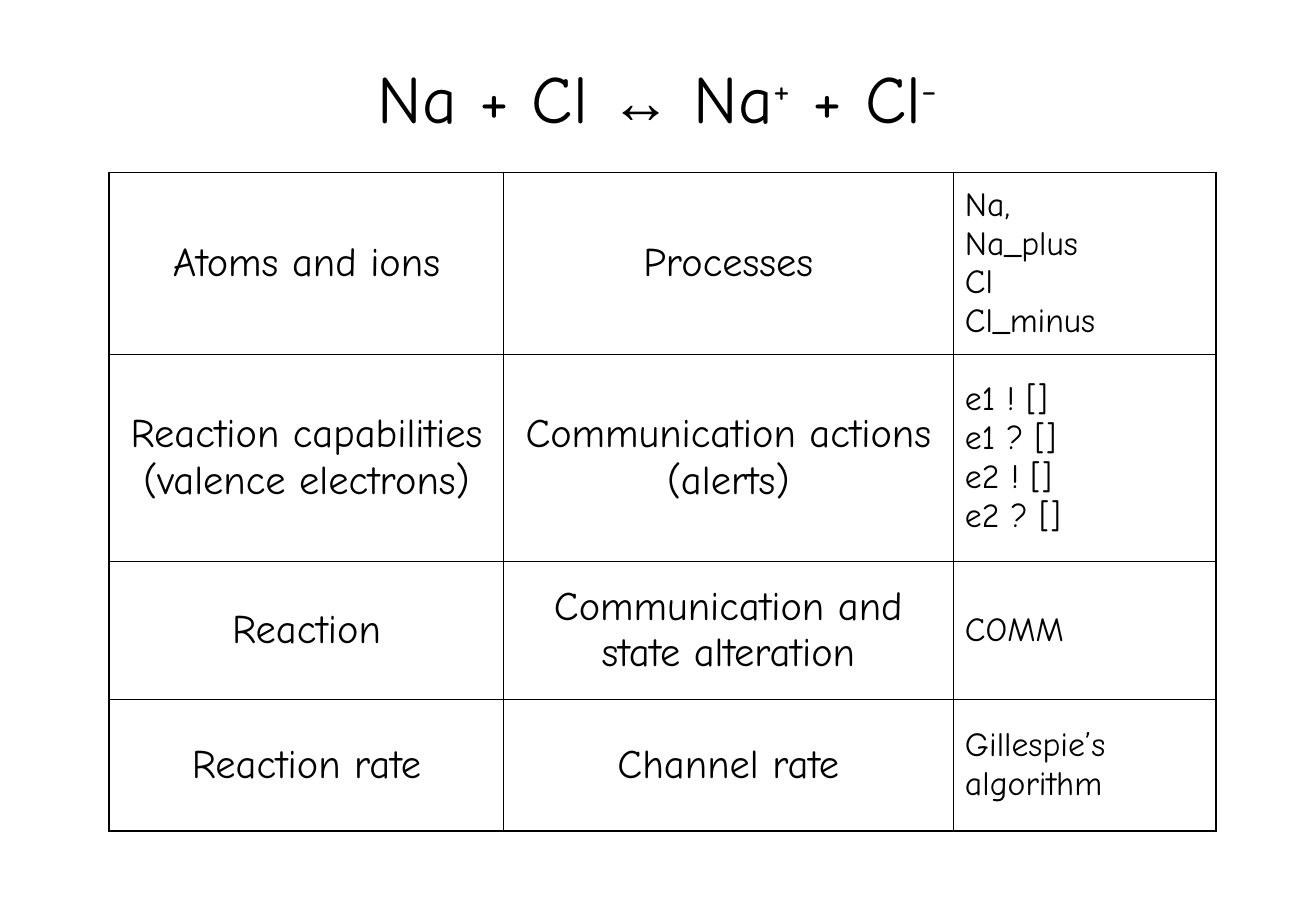
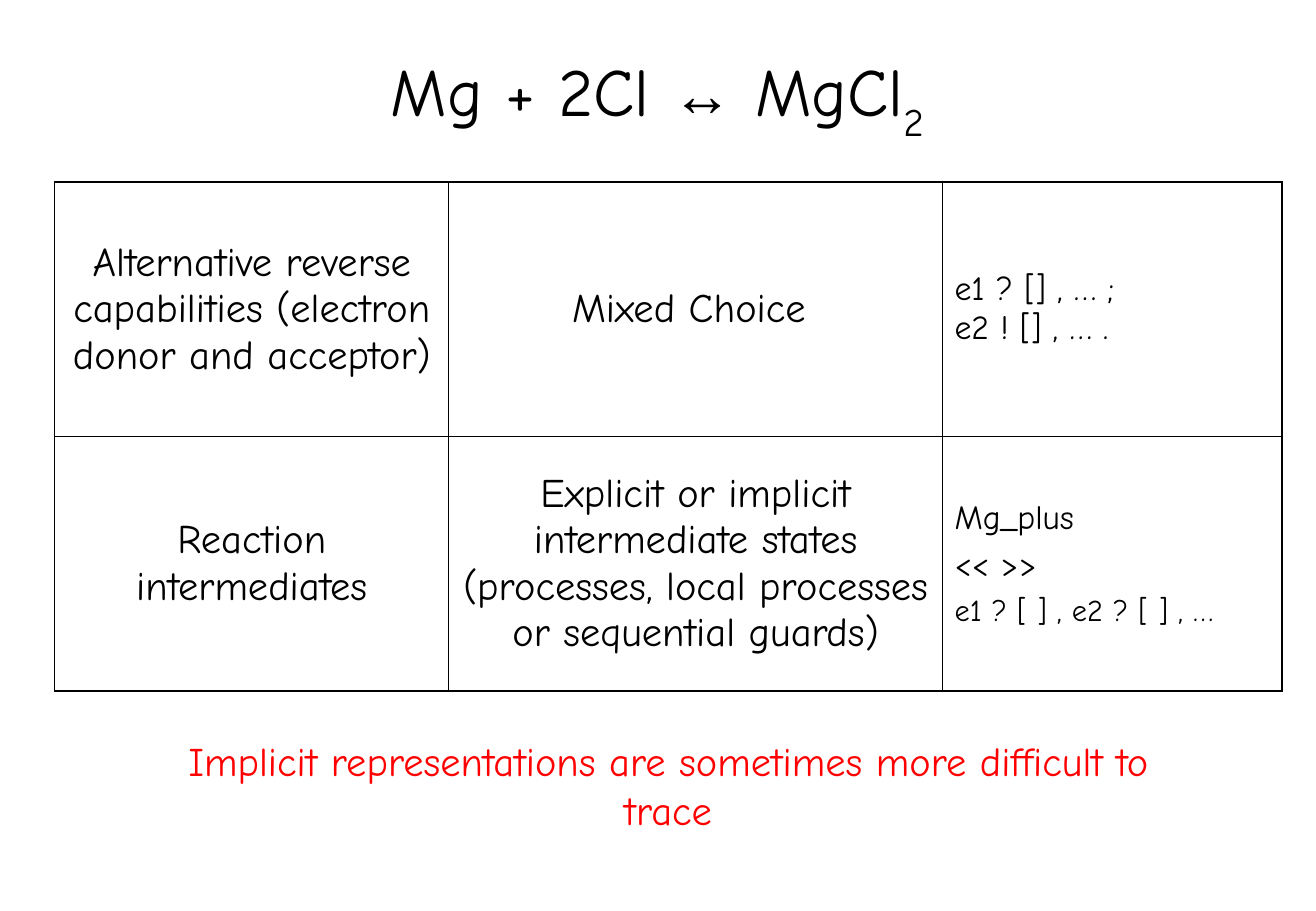
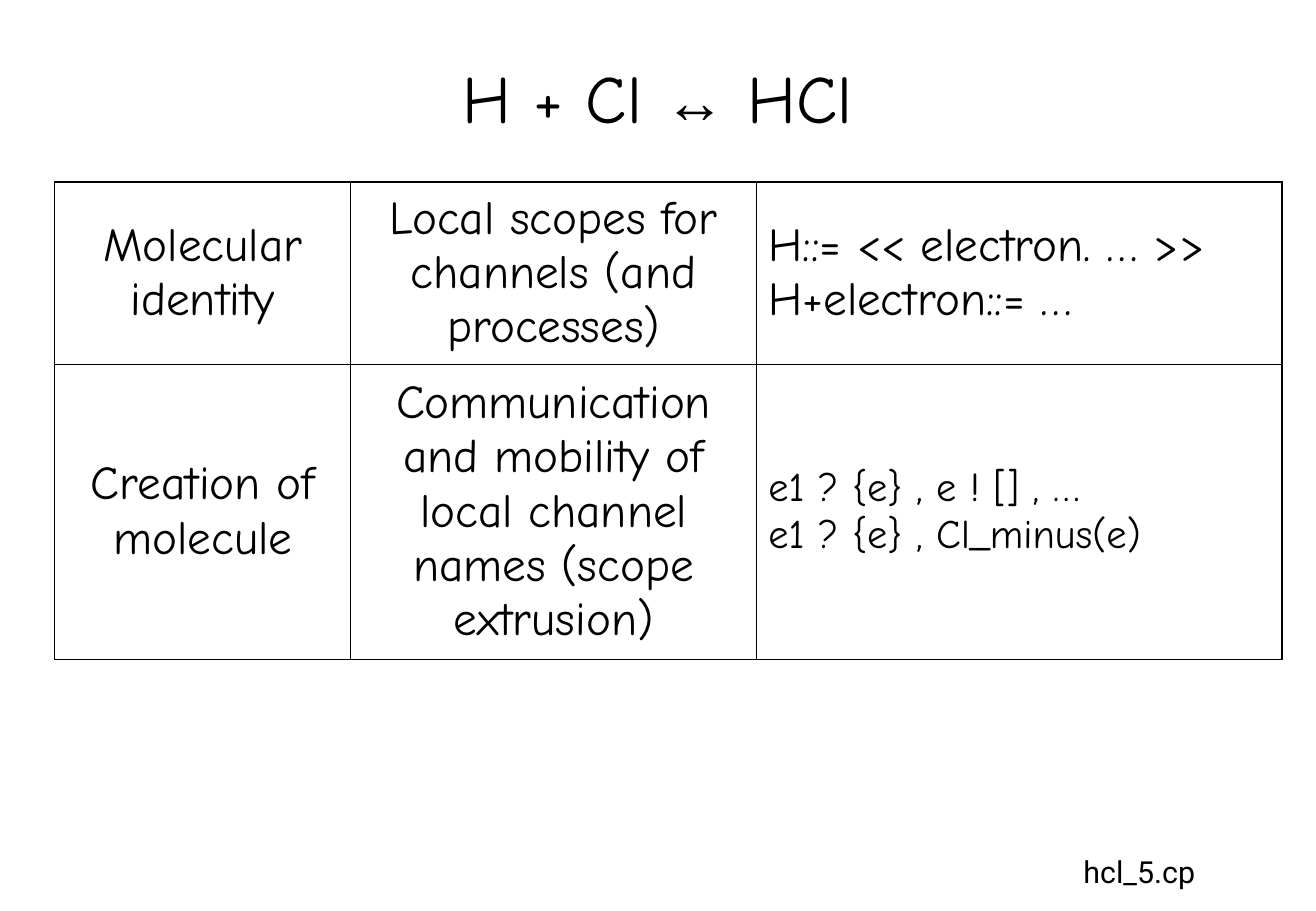
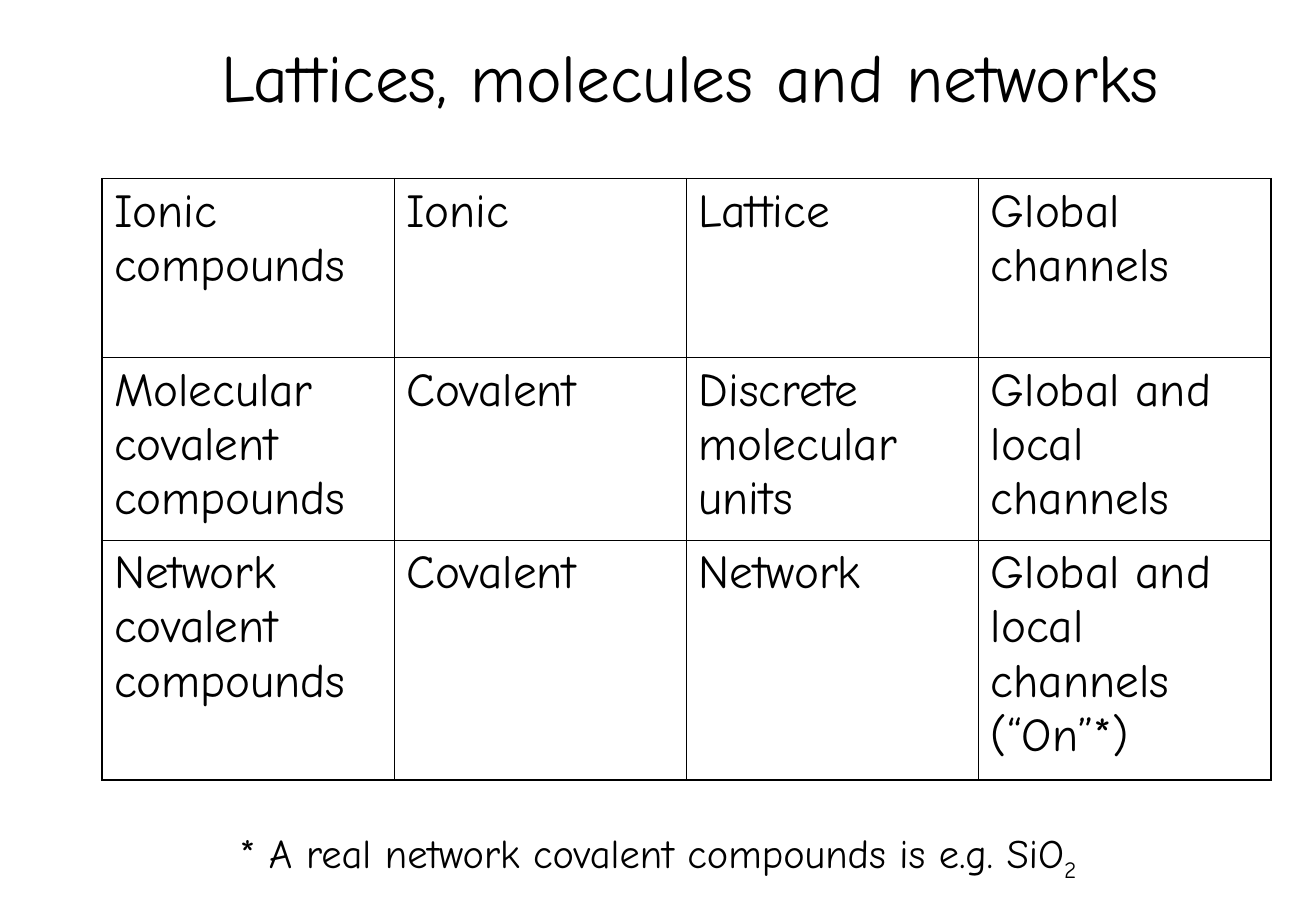
from lxml import etree
from pptx import Presentation
from pptx import util as u
from pptx.dml.color import RGBColor
from pptx.enum import text
from pptx.oxml import ns

# Shared look
SLIDE_W, SLIDE_H = u.Inches(10.84), u.Inches(7.5)
COLOURS = {"ink": "000000", "warning": "FF0000"}
BODY_FONT, ARROW_FONT, FILE_FONT = "Comic Neue", "Arial", "Roboto"
OUTER_PT, INNER_PT = 1.08, 0.45
TITLE_PT = 40
CENTRE, LEFT = text.PP_ALIGN.CENTER, text.PP_ALIGN.LEFT
MIDDLE, TOP = text.MSO_ANCHOR.MIDDLE, text.MSO_ANCHOR.TOP

# Boxes: left, top, width, height in percent of the slide
EQUATION_BOX = (7.47, 2.27, 84.96, 16.67)
HEADLINE_BOX = (7.47, 0, 89.94, 16.67)

# Run formats
ARROW = ("↔", {"size": 36, "name": ARROW_FONT})
RAISED, LOWERED, SLIGHTLY_LOWERED = ({"baseline": b} for b in (30, -30, -25))


def place(box):
    """Turn percentages of the slide into lengths."""
    return [round(share * side / 100)
            for share, side in zip(box, (SLIDE_W, SLIDE_H, SLIDE_W, SLIDE_H))]


def add_run(paragraph, words, size, name=BODY_FONT, colour="ink", baseline=0):
    run = paragraph.add_run()
    run.text = words
    for attribute, value in {"size": u.Pt(size), "name": name, "bold": False}.items():
        setattr(run.font, attribute, value)
    run.font.color.rgb = RGBColor.from_string(COLOURS[colour])
    if baseline:
        run.font._element.set("baseline", str(baseline * 1000))


def write(frame, paragraphs, size, align=CENTRE, **look):
    """Each paragraph is a string or a list of strings and (words, format) pairs."""
    for index, runs in enumerate(paragraphs):
        paragraph = frame.add_paragraph() if index else frame.paragraphs[0]
        paragraph.alignment = align
        paragraph.space_before = u.Pt(size / 4 if index else 0)
        for run in [runs] if isinstance(runs, str) else runs:
            words, extra = (run, {}) if isinstance(run, str) else run
            for number, line in enumerate(words.split("\n")):
                if number:
                    paragraph.add_line_break()
                add_run(paragraph, line, **{"size": size, **look, **extra})


def add_titled_slide(deck, title_runs, box=EQUATION_BOX):
    slide = deck.slides.add_slide(deck.slide_layouts[5])
    title = slide.shapes.title
    title.left, title.top, title.width, title.height = place(box)
    frame = title.text_frame
    for attribute, value in {"vertical_anchor": MIDDLE, "word_wrap": True,
                             "auto_size": text.MSO_AUTO_SIZE.NONE}.items():
        setattr(frame, attribute, value)
    write(frame, [title_runs], TITLE_PT)
    return slide


def add_note(slide, box, runs, size, **look):
    frame = slide.shapes.add_textbox(*place(box)).text_frame
    frame.word_wrap = False
    frame.vertical_anchor = MIDDLE
    write(frame, [runs], size, **look)


def set_borders(cell, outer_sides):
    properties = cell._tc.get_or_add_tcPr()
    for side in "LRTB":
        width = u.Pt(OUTER_PT if side in outer_sides else INNER_PT)
        line = etree.SubElement(properties, ns.qn(f"a:ln{side}"), w=str(width))
        fill = etree.SubElement(line, ns.qn("a:solidFill"))
        etree.SubElement(fill, ns.qn("a:srgbClr"), val=COLOURS["ink"])


def add_grid(slide, box, columns, rows, contents, size, last_sizes=None, all_left=False):
    """Ruled table; the last column is left-aligned and may have its own sizes."""
    left, top, width, height = place(box)
    table = slide.shapes.add_table(len(rows), len(columns), left, top, width, height).table
    table.first_row = table.horz_banding = False
    for column, share in zip(table.columns, columns):
        column.width = round(width * share / sum(columns))
    for row, share in zip(table.rows, rows):
        row.height = round(height * share / sum(rows))

    last_row, last_column = len(rows) - 1, len(columns) - 1
    for r, row in enumerate(contents):
        for c, content in enumerate(row):
            cell = table.cell(r, c)
            edges = {"L": c == 0, "R": c == last_column, "T": r == 0, "B": r == last_row}
            set_borders(cell, [side for side, is_outer in edges.items() if is_outer])
            cell.fill.background()
            cell.vertical_anchor = TOP if all_left else MIDDLE
            is_last = c == last_column
            write(cell.text_frame, [content] if isinstance(content, str) else content,
                  last_sizes[r] if last_sizes and is_last else size,
                  LEFT if all_left or is_last else CENTRE)


def sodium_chloride(deck):
    slide = add_titled_slide(deck, ["Na + Cl ", ARROW, " Na", ("+", RAISED),
                                    " + Cl", ("-", RAISED)])
    add_grid(slide, (8.3, 18.93, 84.13, 72.27), (3.25, 3.7, 2.17), (1.5, 1.7, 1.14, 1.08), [
        ("Atoms and ions", "Processes", "Na,\nNa_plus\nCl\nCl_minus"),
        ("Reaction capabilities (valence electrons)", "Communication actions (alerts)",
         "e1 ! []\ne1 ? []\ne2 ! []\ne2 ? []"),
        ("Reaction", "Communication and state alteration", "COMM"),
        ("Reaction rate", "Channel rate", "Gillespie’s algorithm"),
    ], 24, last_sizes=[20] * 4)


def magnesium_chloride(deck):
    slide = add_titled_slide(deck, ["Mg + 2Cl ", ARROW, " MgCl", ("2", LOWERED)])
    add_grid(slide, (4.15, 20, 93.27, 55.87), (3.25, 4.07, 2.8), (1, 1), [
        ("Alternative reverse capabilities (electron donor and acceptor)", "Mixed Choice ",
         "e1 ? [] , … ;\ne2 ! [] , … ."),
        ("Reaction intermediates",
         "Explicit or implicit intermediate states (processes, local processes "
         "or sequential guards)",
         ["Mg_plus", "<< >>", [("e1 ? [ ] , e2 ? [ ] , …", {"size": 18})]]),
    ], 24, last_sizes=[20, 20])
    add_note(slide, (11.62, 82.27, 78.32, 7.73),
             "Implicit representations are sometimes more difficult to trace", 24,
             colour="warning")


def hydrogen_chloride(deck):
    slide = add_titled_slide(deck, ["H + Cl ", ARROW, " HCl"])
    add_grid(slide, (4.15, 20, 93.27, 52.4), (2.44, 3.34, 4.33), (1.5, 2.44), [
        ("Molecular identity", "Local scopes for channels (and processes)",
         "H::= << electron. … >>\nH+electron::= …"),
        ("Creation of molecule",
         "Communication and mobility of local channel names (scope extrusion)",
         "e1 ? {e} , e ! [] , …\ne1 ? {e} , Cl_minus(e)"),
    ], 28, last_sizes=[28, 24])
    add_note(slide, (73.25, 92.27, 26.66, 6.67), "hcl_5.cp", 18, name=FILE_FONT)


def structures(deck):
    slide = add_titled_slide(deck, "Lattices, molecules and networks", HEADLINE_BOX)
    add_grid(slide, (7.75, 19.6, 88.84, 66), (1, 1, 1, 1), (1.47, 1.5, 1.97), [
        ("Ionic compounds", "Ionic", "Lattice", "Global channels"),
        ("Molecular covalent compounds", "Covalent", "Discrete molecular units",
         "Global and local channels"),
        ("Network covalent compounds", "Covalent", "Network",
         "Global and local channels (“On”*)"),
    ], 28, all_left=True)
    add_note(slide, (0, 87.73, 100, 12.27),
             ["* A real network covalent compounds is e.g. SiO", ("2", SLIGHTLY_LOWERED)], 24)


def main():
    deck = Presentation()
    deck.slide_width, deck.slide_height = SLIDE_W, SLIDE_H
    for build in (sodium_chloride, magnesium_chloride, hydrogen_chloride, structures):
        build(deck)
    deck.save("out.pptx")


if __name__ == "__main__":
    main()
